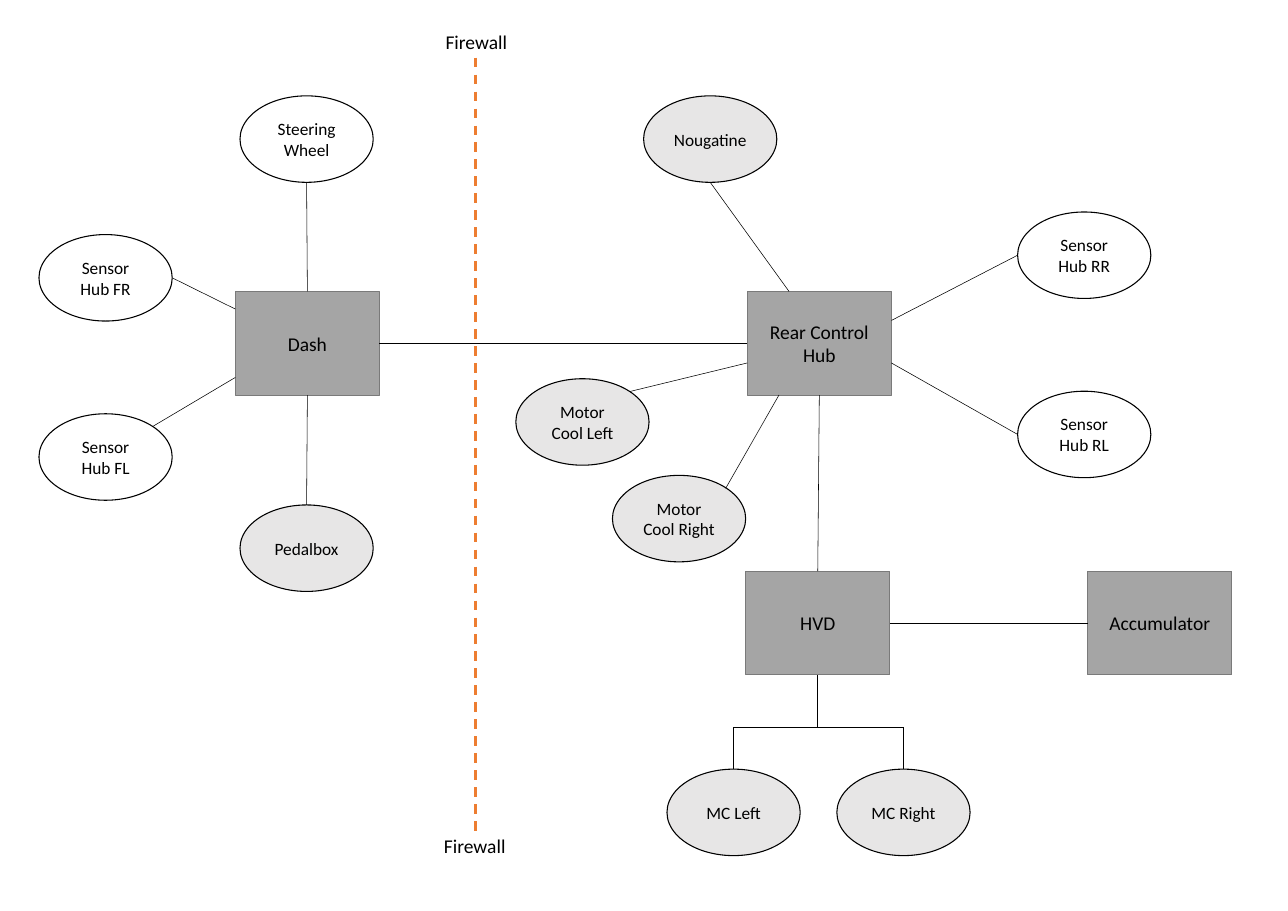
from collections import namedtuple
from dataclasses import dataclass

from lxml import etree
from pptx import Presentation
from pptx.dml.color import RGBColor
from pptx.enum.dml import MSO_LINE
from pptx.enum.shapes import MSO_CONNECTOR, MSO_SHAPE
from pptx.enum.text import MSO_ANCHOR, MSO_AUTO_SIZE, PP_ALIGN
from pptx.oxml.ns import qn
from pptx.util import Inches, Pt

RECT, OVAL = MSO_SHAPE.RECTANGLE, MSO_SHAPE.OVAL
STRAIGHT, DASH = MSO_CONNECTOR.STRAIGHT, MSO_LINE.DASH
MIDDLE, CENTER = MSO_ANCHOR.MIDDLE, PP_ALIGN.CENTER
GROW = MSO_AUTO_SIZE.SHAPE_TO_FIT_TEXT

Box = namedtuple("Box", "left top width height")


@dataclass(frozen=True)
class Theme:
    """Colours, type sizes and line widths."""
    font: str = "Calibri"
    ink: str = "000000"
    plain: str = "FFFFFF"
    tint: str = "E7E6E6"
    unit: str = "A5A5A5"
    edge: str = "7A7A7A"
    wall: str = "ED7D31"
    large: float = 18
    small: float = 16
    thin: float = 0.5
    rim: float = 1
    thick: float = 2.25


THEME = Theme()


def color(code):
    """Turn a hex code into a colour."""
    return RGBColor.from_string(code)


def write(frame, text, size):
    """Add one run of text to a frame."""
    run = frame.paragraphs[0].add_run()
    run.text = text
    run.font.name = THEME.font
    run.font.size = Pt(size)
    run.font.color.rgb = color(THEME.ink)


def node(slide, box, spot, text, kind, size, fill, edge, points):
    """Draw a labelled shape at a spot within the box."""
    shape = slide.shapes.add_shape(
        kind, Inches(box.left + spot[0]), Inches(box.top + spot[1]),
        Inches(size[0]), Inches(size[1]))
    shape.shadow.inherit = False
    shape.fill.solid()
    shape.fill.fore_color.rgb = color(fill)
    shape.line.color.rgb = color(edge)
    shape.line.width = Pt(THEME.rim)
    frame = shape.text_frame
    frame.word_wrap = True
    frame.vertical_anchor = MIDDLE
    frame.paragraphs[0].alignment = CENTER
    write(frame, text, points)
    return shape


def unit(slide, box, spot, text):
    """Draw a main control unit."""
    return node(slide, box, spot, text, RECT, (1.85, 1.33),
                THEME.unit, THEME.edge, THEME.large)


def leaf(slide, box, spot, text, fill):
    """Draw an oval end node."""
    return node(slide, box, spot, text, OVAL, (1.71, 1.11),
                fill, THEME.ink, THEME.small)


def port(shape, across, down):
    """Find a point on a shape by its share of width and height."""
    return (int(shape.left + across * shape.width),
            int(shape.top + down * shape.height))


def link(slide, start, end, code=THEME.ink, width=THEME.thin):
    """Join two points with a straight line."""
    line = slide.shapes.add_connector(STRAIGHT, *start, *end)
    line.line.color.rgb = color(code)
    line.line.width = Pt(width)
    etree.SubElement(line._element.spPr, qn("a:effectLst"))
    return line


def spokes(slide, box, hub, leaves):
    """Draw end nodes and join each one to the hub."""
    for text, fill, spot, start, end in leaves:
        oval = leaf(slide, box, spot, text, fill)
        link(slide, port(oval, *start), port(hub, *end))


def front(slide, box):
    """Draw the dash with its nodes and return the dash."""
    dash = unit(slide, box, (2.52, 2.51), "Dash")
    spokes(slide, box, dash, [
        ("Steering Wheel", THEME.plain, (2.58, 0), (0.5, 1), (0.5, 0)),
        ("Sensor Hub FR", THEME.plain, (0, 1.78), (1, 0.5), (0, 0.17)),
        ("Sensor Hub FL", THEME.plain, (0, 4.08), (0.85, 0.15), (0, 0.83)),
        ("Pedalbox", THEME.tint, (2.58, 5.25), (0.5, 0), (0.5, 1)),
    ])
    return dash


def rear(slide, box):
    """Draw the rear hub with its nodes and return the hub."""
    hub = unit(slide, box, (2.97, 2.51), "Rear Control Hub")
    spokes(slide, box, hub, [
        ("Nougatine", THEME.tint, (1.64, 0), (0.5, 1), (0.29, 0)),
        ("Sensor Hub RR", THEME.plain, (6.44, 1.49), (0, 0.5), (1, 0.28)),
        ("Sensor Hub RL", THEME.plain, (6.44, 3.79), (0, 0.5), (1, 0.69)),
        ("Motor Cool Left", THEME.tint, (0, 3.63), (0.85, 0.15), (0, 0.69)),
        ("Motor Cool Right", THEME.tint, (1.24, 4.87), (0.85, 0.15), (0.22, 1)),
    ])
    return hub


def power(slide, box):
    """Draw the power units with the motor branch and return the HVD."""
    hvd = unit(slide, box, (1.01, 0), "HVD")
    store = unit(slide, box, (5.4, 0), "Accumulator")
    link(slide, port(hvd, 1, 0.5), port(store, 0, 0.5))
    foot = port(hvd, 0.5, 1)
    fork = (foot[0], Inches(box.top + 2))
    link(slide, foot, fork)
    for text, left in (("MC Left", 0), ("MC Right", 2.18)):
        head = port(leaf(slide, box, (left, 2.54), text, THEME.tint), 0.5, 0)
        bend = (head[0], fork[1])
        link(slide, fork, bend)
        link(slide, bend, head)
    return hvd


def wall(slide, box):
    """Draw the dashed firewall with a label at each end."""
    tall = 0.4
    low = box.top + box.height - tall
    mid = Inches(box.left + box.width / 2)
    line = link(slide, (mid, Inches(box.top + tall)), (mid, Inches(low)),
                THEME.wall, THEME.thick)
    line.line.dash_style = DASH
    for left, top in ((box.left + 0.02, box.top), (box.left, low)):
        label = slide.shapes.add_textbox(
            Inches(left), Inches(top), Inches(box.width), Inches(tall))
        label.text_frame.word_wrap = False
        label.text_frame.auto_size = GROW
        write(label.text_frame, "Firewall", THEME.large)


def main():
    """Build the network slide and save it."""
    deck = Presentation()
    deck.slide_width, deck.slide_height = Inches(16.53), Inches(11.69)
    slide = deck.slides.add_slide(deck.slide_layouts[6])
    dash = front(slide, Box(0.5, 1.23, 4.37, 6.36))
    hub = rear(slide, Box(6.62, 1.23, 8.15, 5.98))
    hvd = power(slide, Box(8.56, 7.33, 7.25, 3.65))
    link(slide, port(dash, 1, 0.5), port(hub, 0, 0.5))
    link(slide, port(hub, 0.5, 1), port(hvd, 0.5, 0))
    wall(slide, Box(5.6, 0.34, 1, 10.72))
    deck.save("out.pptx")


main()
